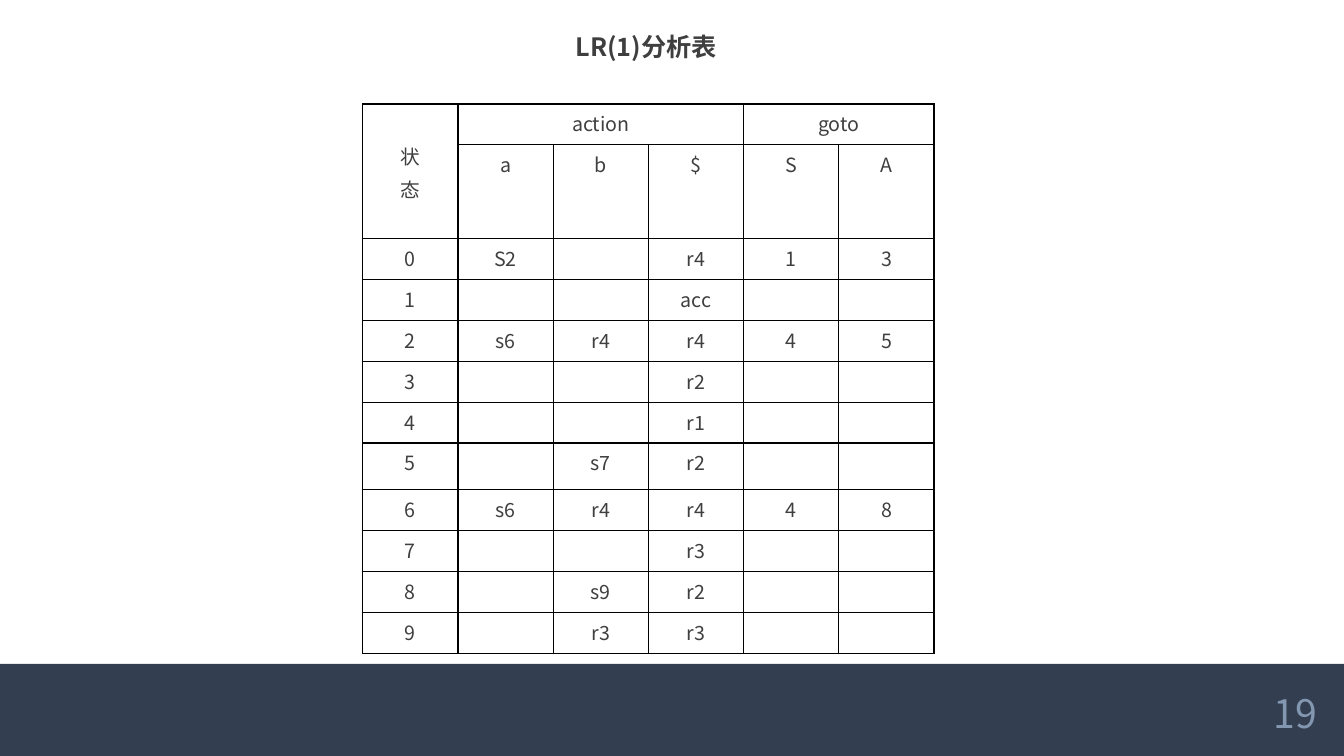
from lxml import etree
from pptx import Presentation
from pptx.dml.color import RGBColor
from pptx.enum.shapes import MSO_SHAPE
from pptx.enum.text import MSO_ANCHOR, MSO_AUTO_SIZE, PP_ALIGN
from pptx.oxml.ns import qn
from pptx.util import Cm, Pt

RECT = MSO_SHAPE.RECTANGLE
TOP, MIDDLE = MSO_ANCHOR.TOP, MSO_ANCHOR.MIDDLE
GROW = MSO_AUTO_SIZE.SHAPE_TO_FIT_TEXT
LEFT, CENTER = PP_ALIGN.LEFT, PP_ALIGN.CENTER

FONT = "Noto Sans CJK SC"
INK, BAND, PAGE, BLACK = "3F3F3F", "333F50", "8497B0", "000000"
SLIDE_W, SLIDE_H = Cm(33.87), Cm(19.05)
COL_W, ROW_H = Cm(2.4), Cm(1.03)
TALL_ROWS = {1: Cm(2.26), 7: Cm(1.18)}
STATE_TOP = Cm(0.95)
CELL_SIZE = 14

ROWS = [
    ["状\n态", "action", "", "", "goto", ""],
    ["", "a", "b", "$", "S", "A"],
    ["0", "S2", "", "r4", "1", "3"],
    ["1", "", "", "acc", "", ""],
    ["2", "s6", "r4", "r4", "4", "5"],
    ["3", "", "", "r2", "", ""],
    ["4", "", "", "r1", "", ""],
    ["5", "", "s7", "r2", "", ""],
    ["6", "s6", "r4", "r4", "4", "8"],
    ["7", "", "", "r3", "", ""],
    ["8", "", "s9", "r2", "", ""],
    ["9", "", "r3", "r3", "", ""],
]
MERGES = [((0, 0), (1, 0)), ((0, 1), (0, 3)), ((0, 4), (0, 5))]


def rgb(value):
    """Turn a hex string into a colour."""
    return RGBColor.from_string(value)


def write(tf, text, size=CELL_SIZE, color=INK, bold=False, align=CENTER,
          gap=0, spacing=1.0):
    """Write one paragraph per line of text, with gap points between them."""
    for i, line in enumerate(text.split("\n")):
        p = tf.add_paragraph() if i else tf.paragraphs[0]
        p.alignment = align
        p.line_spacing = spacing
        p.space_before = Pt(gap if i else 0)
        if not line:
            etree.SubElement(p._p, qn("a:endParaRPr"), sz=str(size * 100))
            continue
        r = p.add_run()
        r.text = line
        r.font.size, r.font.bold, r.font.name = Pt(size), bold, FONT
        r.font.color.rgb = rgb(color)
        etree.SubElement(r._r.get_or_add_rPr(), qn("a:ea"), typeface=FONT)


def add_band(slide, top):
    """Fill the slide from top to its lower edge."""
    sp = slide.shapes.add_shape(RECT, 0, top, SLIDE_W, SLIDE_H - top)
    sp.shadow.inherit = False
    sp.fill.solid()
    sp.fill.fore_color.rgb = rgb(BAND)
    sp.line.fill.background()


def add_page_number(slide, text):
    """Put the page number on the band."""
    sp = slide.shapes.add_textbox(Cm(31.37), Cm(17.15), Cm(2.54), Cm(1.65))
    tf = sp.text_frame
    tf.word_wrap = True
    tf.vertical_anchor = MIDDLE
    tf.margin_left = tf.margin_right = Cm(0.13)
    write(tf, text, size=28, color=PAGE)


def set_title(slide, text):
    """Place and format the title placeholder."""
    sp = slide.shapes.title
    sp.left, sp.top, sp.width, sp.height = Cm(14.25), Cm(0.79), Cm(4.14), Cm(1.02)
    tf = sp.text_frame
    tf.word_wrap = True
    tf.auto_size = GROW
    tf.vertical_anchor = TOP
    write(tf, text, size=18, bold=True, align=LEFT, spacing=0.82)


def set_borders(cell, color=BLACK, width=1):
    """Draw a line on all four sides of a cell."""
    tcPr = cell._tc.get_or_add_tcPr()
    for side in ("lnL", "lnR", "lnT", "lnB"):
        ln = etree.SubElement(tcPr, qn("a:" + side), w=str(Pt(width)))
        fill = etree.SubElement(ln, qn("a:solidFill"))
        etree.SubElement(fill, qn("a:srgbClr"), val=color)


def add_parse_table(slide, left, top):
    """Add the action and goto table."""
    n_rows, n_cols = len(ROWS), len(ROWS[0])
    heights = [TALL_ROWS.get(i, ROW_H) for i in range(n_rows)]
    frame = slide.shapes.add_table(n_rows, n_cols, left, top,
                                   COL_W * n_cols, sum(heights))
    table = frame.table
    table.first_row = table.horz_banding = False
    for col in table.columns:
        col.width = COL_W
    for i, (height, values) in enumerate(zip(heights, ROWS)):
        table.rows[i].height = height
        for j, value in enumerate(values):
            cell = table.cell(i, j)
            set_borders(cell)
            cell.fill.background()
            write(cell.text_frame, value, gap=2.8)
    for first, last in MERGES:
        table.cell(*first).merge(table.cell(*last))
    table.cell(0, 0).margin_top = STATE_TOP


def main():
    """Build the slide and save it."""
    prs = Presentation()
    prs.slide_width, prs.slide_height = SLIDE_W, SLIDE_H
    slide = prs.slides.add_slide(prs.slide_layouts[5])
    add_band(slide, Cm(16.73))
    add_page_number(slide, "19")
    set_title(slide, "LR(1)分析表")
    add_parse_table(slide, Cm(9.14), Cm(2.62))
    prs.save("out.pptx")


main()
